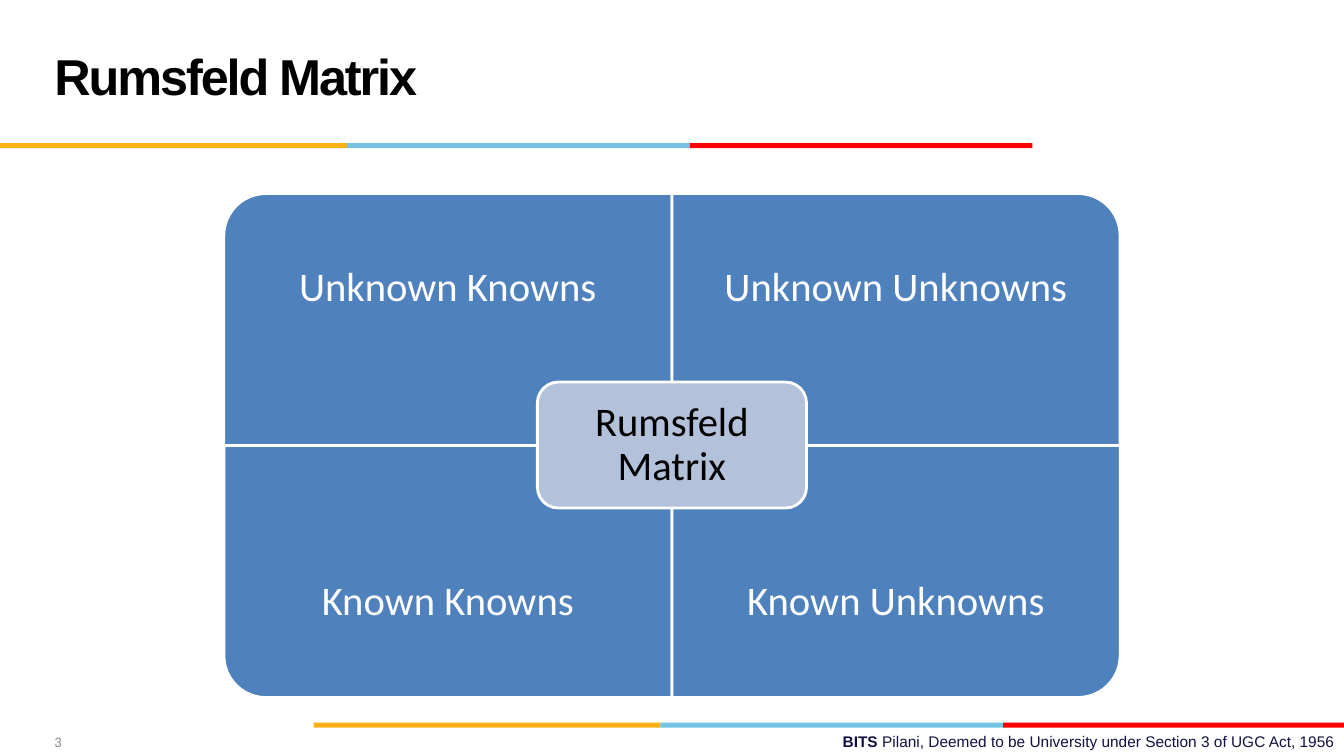
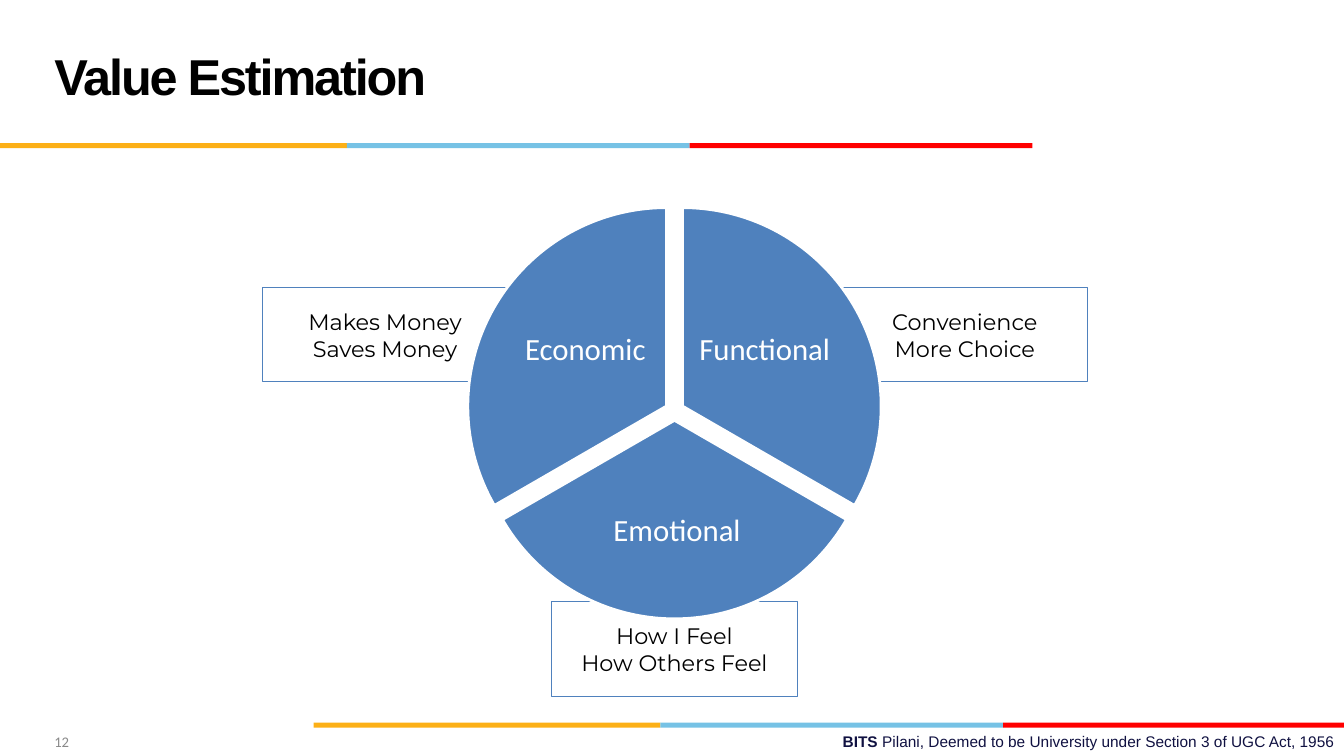
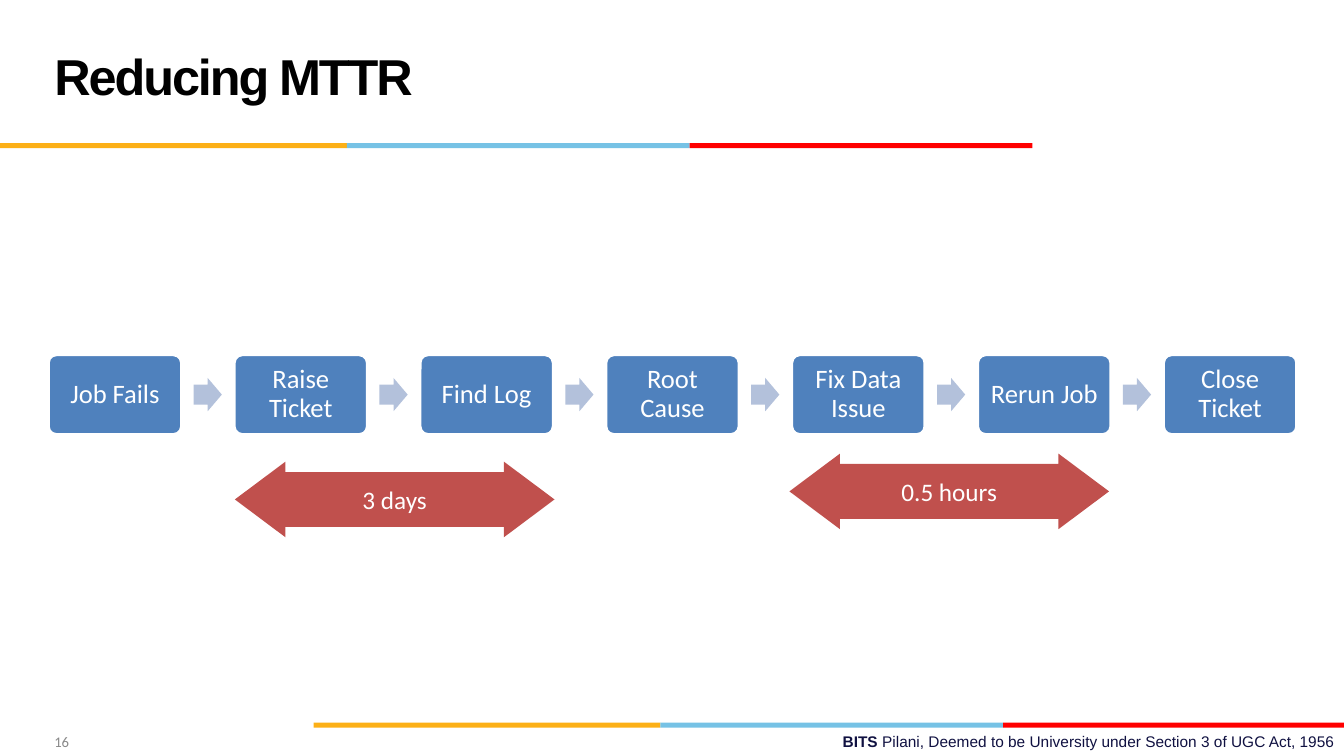
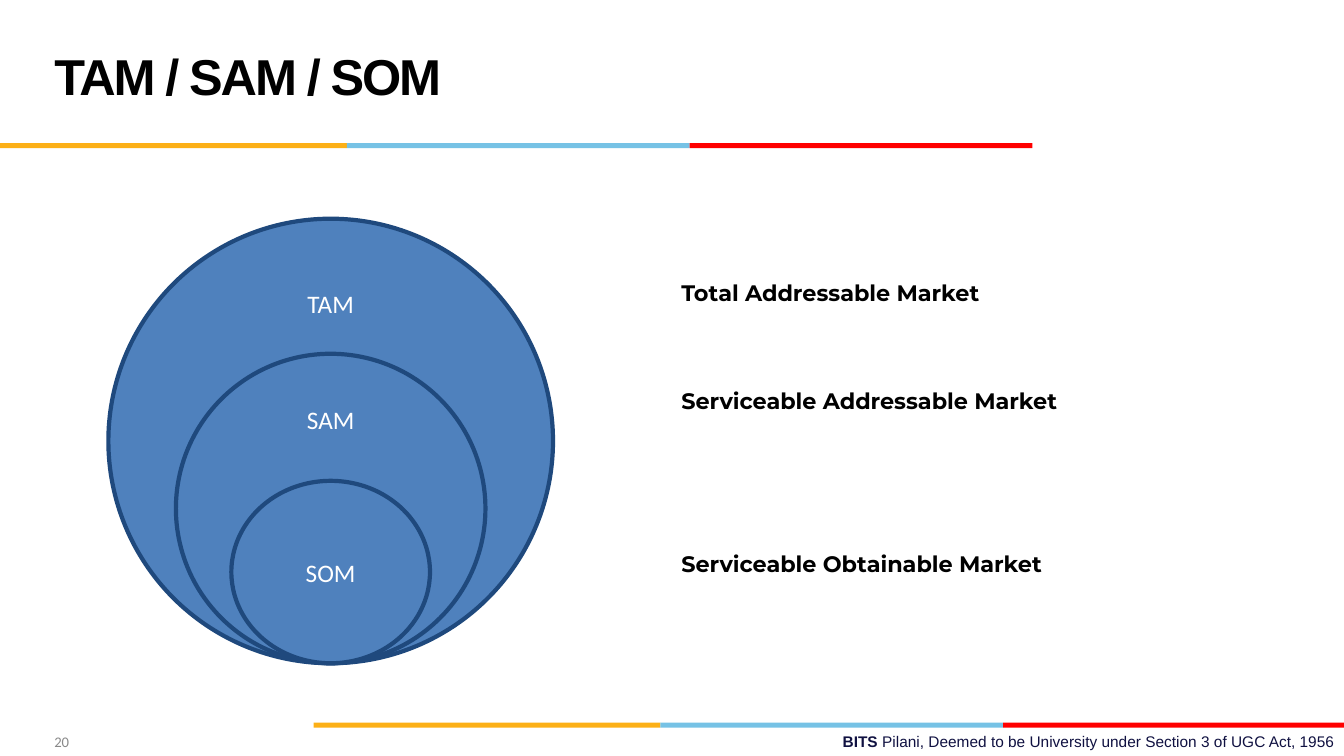
from dataclasses import dataclass

from pptx import Presentation
from pptx.dml.color import RGBColor
from pptx.enum.shapes import MSO_SHAPE as Preset
from pptx.enum.text import MSO_ANCHOR as Anchor, MSO_AUTO_SIZE as AutoSize, PP_ALIGN as Align
from pptx.util import Inches, Pt


@dataclass(frozen=True)
class Theme:
    amber: str = "FCB017"
    sky: str = "76C2E5"
    red: str = "FF0000"
    blue: str = "4F81BD"
    pale: str = "B3C1DB"
    navy: str = "1F497D"
    brick: str = "C0504D"
    ink: str = "101141"
    grey: str = "898989"
    black: str = "000000"
    white: str = "FFFFFF"
    heading_font: str = "Arial"
    diagram_font: str = "Calibri"
    note_font: str = "Montserrat"
    title_size: float = 36
    matrix_size: float = 29
    pie_size: float = 22
    step_size: float = 19
    label_size: float = 18
    note_size: float = 16
    footer_size: float = 11
    number_size: float = 10.5


THEME = Theme()

BAND_PARTS = [(3.44, THEME.amber), (3.4, THEME.sky), (3.4, THEME.red)]
BAND_STARTS = [(0, 1.42), (3.11, 7.17)]
FOOTER = [("BITS ", True),
          ("Pilani, Deemed to be University under Section 3 of UGC Act, 1956", False)]

QUADRANTS = [("Unknown Knowns", 0, 0, 270), ("Unknown Unknowns", 1, 0, 0),
             ("Known Knowns", 0, 1, 180), ("Known Unknowns", 1, 1, 90)]
MATRIX_CENTRE = "Rumsfeld Matrix"

VALUES = [
    ("Functional", (4.8, 2.06), (162, 18), (6.88, 2.89, 1.41, 1.17),
     ["Convenience", "More Choice"], (8.35, 2.85)),
    ("Emotional", (4.72, 2.2), (18, 90), (5.66, 4.76, 2.11, 1.03),
     ["How I Feel", "How Others Feel"], (5.47, 5.97)),
    ("Economic", (4.64, 2.06), (90, 162), (5.1, 2.89, 1.41, 1.17),
     ["Makes Money", "Saves Money"], (2.6, 2.85)),
]

STEPS = ["Job Fails", "Raise Ticket", "Find Log", "Root Cause",
         "Fix Data Issue", "Rerun Job", "Close Ticket"]
DURATIONS = [("3 days", 2.33, 4.58), ("0.5 hours", 7.83, 4.5)]

MARKETS = [("TAM", 4.41, 4.41, Anchor.TOP), ("SAM", 3.07, 3.07, Anchor.TOP),
           ("SOM", 1.97, 1.81, Anchor.MIDDLE)]
MARKET_NAMES = ["Total Addressable Market", "Serviceable Addressable Market",
                "Serviceable Obtainable Market"]
MARKET_GAPS = [0, 58, 97]


def write(shape, lines, *, size, font=THEME.diagram_font, color=THEME.white, bold=False,
          align=Align.CENTER, anchor=Anchor.MIDDLE, inset=None, spacing=None,
          gaps=None, tracking=None):
    frame = shape.text_frame
    frame.word_wrap = True
    frame.auto_size = AutoSize.NONE
    frame.vertical_anchor = anchor
    if inset is not None:
        frame.margin_left = frame.margin_right = Inches(inset)
        frame.margin_top = frame.margin_bottom = Inches(inset)
    for i, line in enumerate(lines):
        paragraph = frame.add_paragraph() if i else frame.paragraphs[0]
        paragraph.alignment = align
        paragraph.space_before = Pt(gaps[i] if gaps else 0)
        if spacing is not None:
            paragraph.line_spacing = spacing
        for text, strong in [(line, bold)] if isinstance(line, str) else line:
            run = paragraph.add_run()
            run.text = text
            run.font.name, run.font.size, run.font.bold = font, Pt(size), strong
            run.font.color.rgb = RGBColor.from_string(color)
            if tracking is not None:
                run.font._element.set("spc", str(tracking))
    return shape


def draw(slide, preset, box, fill=None, line=None, weight=2, adjust=(), turn=0):
    shape = slide.shapes.add_shape(preset, *map(Inches, box))
    shape.shadow.inherit = False
    shape.rotation = turn
    for i, value in enumerate(adjust):
        shape.adjustments[i] = value
    if fill:
        shape.fill.solid()
        shape.fill.fore_color.rgb = RGBColor.from_string(fill)
    else:
        shape.fill.background()
    if line:
        shape.line.color.rgb = RGBColor.from_string(line)
        shape.line.width = Pt(weight)
    else:
        shape.line.fill.background()
    return shape


def text_box(slide, box):
    return slide.shapes.add_textbox(*map(Inches, box))


def set_up_layout(deck):
    layout = deck.slide_layouts[5]
    for holder in list(layout.placeholders):
        if holder.placeholder_format.idx:
            layout.shapes.element.remove(holder.element)
        else:
            holder.left, holder.top, holder.width, holder.height = map(
                Inches, (0.44, 0.17, 9.22, 1.25))
    return layout


def add_shared_parts(slide, layout):
    parts = []
    for left, top in BAND_STARTS:
        for width, color in BAND_PARTS:
            parts.append(draw(slide, Preset.RECTANGLE, (left, top, width, 0.05), color))
            left += width
    parts.append(write(text_box(slide, (4.78, 7.21, 8.56, 0.29)), [FOOTER],
                       size=THEME.footer_size, font=THEME.heading_font, color=THEME.ink,
                       align=Align.RIGHT, anchor=Anchor.TOP))
    for part in parts:
        layout.shapes.element.append(part.element)


def draw_matrix(slide):
    left, top, width, height = 2.22, 1.92, 4.445, 2.5
    label_height = 1.88
    for name, column, row, turn in QUADRANTS:
        x, y = left + column * width, top + row * height
        box = (x, y, width, height)
        if turn in (90, 270):
            shift = (width - height) / 2
            box = (x + shift, y - shift, height, width)
        draw(slide, Preset.ROUND_1_RECTANGLE, box, THEME.blue, THEME.white, turn=turn)
        label_top = y + row * (height - label_height)
        write(text_box(slide, (x, label_top, width, label_height)), [name],
              size=THEME.matrix_size, inset=0.23, spacing=0.9)
    centre = draw(slide, Preset.ROUNDED_RECTANGLE, (5.33, 3.79, 2.67, 1.25),
                  THEME.pale, THEME.white)
    write(centre, [MATRIX_CENTRE], size=THEME.matrix_size, color=THEME.black,
          inset=0.12, spacing=0.9)


def draw_values(slide):
    for *_, benefits, corner in VALUES:
        note = draw(slide, Preset.RECTANGLE, (*corner, 2.44, 0.94),
                    line=THEME.blue, weight=0.75)
        write(note, benefits, size=THEME.note_size, font=THEME.note_font,
              color=THEME.black, inset=0.1)
    for name, corner, angles, label_box, *_ in VALUES:
        draw(slide, Preset.PIE, (*corner, 3.94, 3.94), THEME.blue, THEME.white, adjust=angles)
        write(text_box(slide, label_box), [name], size=THEME.pie_size,
              inset=0.03, spacing=0.9)


def draw_process(slide):
    first, last = 0.48, 11.54
    pitch = (last - first) / (len(STEPS) - 1)
    for i, name in enumerate(STEPS):
        left = first + i * pitch
        step = draw(slide, Preset.ROUNDED_RECTANGLE, (left, 3.52, 1.32, 0.79),
                    THEME.blue, THEME.white, adjust=[0.1])
        write(step, [name], size=THEME.step_size, inset=0.08, spacing=0.9)
        if i < len(STEPS) - 1:
            draw(slide, Preset.RIGHT_ARROW, (left + 1.44, 3.75, 0.28, 0.33),
                 THEME.pale, adjust=[0.6, 0.5])
    for duration, left, top in DURATIONS:
        span = draw(slide, Preset.LEFT_RIGHT_ARROW, (left, top, 3.17, 0.75),
                    THEME.brick, adjust=[0.725, 0.669])
        write(span, [duration], size=THEME.label_size)


def draw_markets(slide):
    centre, bottom = 3.28, 6.58
    for name, width, height, anchor in MARKETS:
        circle = draw(slide, Preset.OVAL, (centre - width / 2, bottom - height, width, height),
                      THEME.blue, THEME.navy, weight=3)
        write(circle, [name], size=THEME.label_size, anchor=anchor)
    write(text_box(slide, (6.66, 2.67, 5.76, 3.17)), MARKET_NAMES, size=THEME.note_size,
          font=THEME.note_font, color=THEME.black, bold=True, align=Align.LEFT,
          anchor=Anchor.TOP, inset=0.1, gaps=MARKET_GAPS)


SLIDES = [("Rumsfeld Matrix", "3", draw_matrix), ("Value Estimation", "12", draw_values),
          ("Reducing MTTR", "16", draw_process), ("TAM / SAM / SOM", "20", draw_markets)]


def main():
    deck = Presentation()
    deck.slide_width, deck.slide_height = Inches(13.33), Inches(7.5)
    layout = set_up_layout(deck)
    for i, (title, number, draw_content) in enumerate(SLIDES):
        slide = deck.slides.add_slide(layout)
        if i == 0:
            add_shared_parts(slide, layout)
        write(slide.shapes.title, [title], size=THEME.title_size, font=THEME.heading_font,
              color=THEME.black, bold=True, align=Align.LEFT, spacing=Pt(36), tracking=-150)
        draw_content(slide)
        write(text_box(slide, (0.44, 7.21, 0.72, 0.29)), [number], size=THEME.number_size,
              color=THEME.grey, align=Align.LEFT)
    deck.save("out.pptx")


if __name__ == "__main__":
    main()
